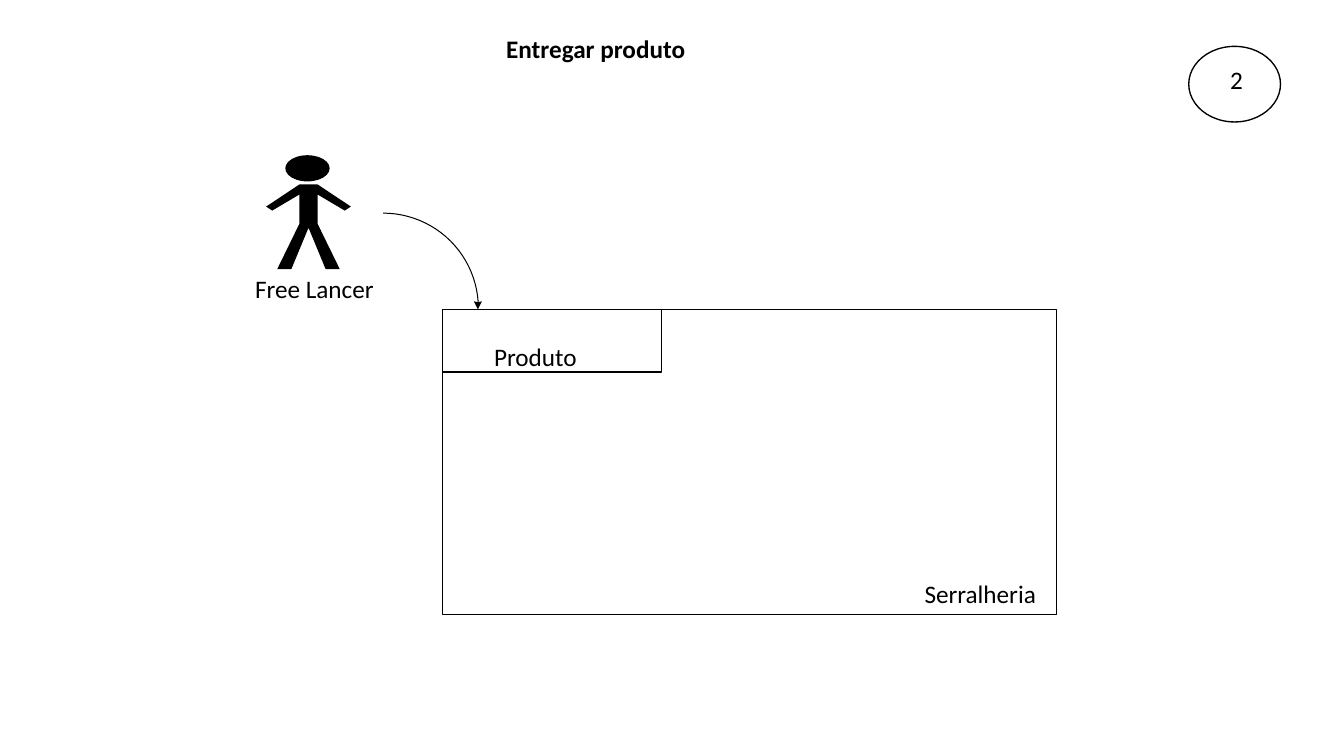
from math import cos, pi, sin

from pptx import Presentation
from pptx.dml.color import RGBColor
from pptx.enum.shapes import MSO_SHAPE as Preset
from pptx.enum.text import MSO_ANCHOR as Anchor, PP_ALIGN as Align
from pptx.util import Inches, Pt

COLORS = {"ink": "000000"}
FONT, TEXT_SIZE, LINE_WIDTH = "Calibri", 18, 0.96

LABELS = [
    ("Serralheria", (9.16, 5.72, 1.13, 0.33), False),
    ("Entregar produto", (5.01, 0.31, 2.87, 0.33), True),
    ("Free Lancer", (2.52, 2.69, 1.19, 0.33), False),
    ("2", (12.19, 0.62, 0.15, 0.33), False),
]
WORKSHOP_BOX = (4.39, 3.07, 6.09, 3.03)
PRODUCT_BOX = (4.39, 3.07, 2.17, 0.62)
STEP_CIRCLE = (11.79, 0.46, 0.91, 0.75)
ACTOR_HEAD = (2.83, 1.54, 0.44, 0.26)
ACTOR_CENTER = 3.06
ACTOR_HALF = [(0.09, 1.83), (0.42, 2.05), (0.36, 2.09), (0.09, 1.93),
              (0.09, 2.22), (0.31, 2.67), (0.17, 2.67), (0, 2.26)]
ARROW_CENTER, ARROW_RADII = (3.8, 3.06), (0.95, 0.94)
ARROW_HEAD = [(4.78, 2.99), (4.74, 3.07), (4.7, 2.99)]
ARC_STEPS = 24

presentation = Presentation()
presentation.slide_width, presentation.slide_height = Inches(13.33), Inches(7.5)
slide = presentation.slides.add_slide(presentation.slide_layouts[6])
INK = RGBColor.from_string(COLORS["ink"])


def paint(shape, filled):
    shape.shadow.inherit = False
    if filled:
        shape.fill.solid()
        shape.fill.fore_color.rgb = INK
        shape.line.fill.background()
    else:
        shape.fill.background()
        shape.line.color.rgb = INK
        shape.line.width = Pt(LINE_WIDTH)


def add_preset(preset, box, filled=False):
    shape = slide.shapes.add_shape(preset, *map(Inches, box))
    paint(shape, filled)
    return shape


def add_outline(points):
    start, *rest = [(Inches(x), Inches(y)) for x, y in points]
    builder = slide.shapes.build_freeform(*start)
    builder.add_line_segments(rest, close=True)
    paint(builder.convert_to_shape(), True)


def write(shape, text, left, top, bold=False):
    frame = shape.text_frame
    frame.text = text
    frame.word_wrap = True
    frame.vertical_anchor = Anchor.TOP
    frame.margin_left, frame.margin_top = Inches(left), Inches(top)
    frame.margin_right = frame.margin_bottom = 0
    paragraph = frame.paragraphs[0]
    paragraph.alignment = Align.LEFT
    font = paragraph.runs[0].font
    font.name, font.size, font.bold = FONT, Pt(TEXT_SIZE), bold
    font.color.rgb = INK


def arc(radius):
    center_x, center_y = ARROW_CENTER
    angles = [step / ARC_STEPS * pi / 2 for step in range(ARC_STEPS)]
    return [(center_x + radius * sin(angle), center_y - radius * cos(angle))
            for angle in angles]


add_preset(Preset.OVAL, ACTOR_HEAD, filled=True)
right_side = [(ACTOR_CENTER + offset, y) for offset, y in ACTOR_HALF]
left_side = [(ACTOR_CENTER - offset, y) for offset, y in reversed(ACTOR_HALF[:-1])]
add_outline(right_side + left_side)

add_preset(Preset.RECTANGLE, WORKSHOP_BOX)
outer_arc, inner_arc = map(arc, ARROW_RADII)
add_outline(outer_arc + ARROW_HEAD + inner_arc[::-1])

product = add_preset(Preset.RECTANGLE, PRODUCT_BOX)
write(product, "Produto", 0.51, 0.32)
add_preset(Preset.OVAL, STEP_CIRCLE)

for text, box, bold in LABELS:
    label = slide.shapes.add_textbox(*map(Inches, box))
    write(label, text, 0.01, 0.02, bold)

presentation.save("out.pptx")
